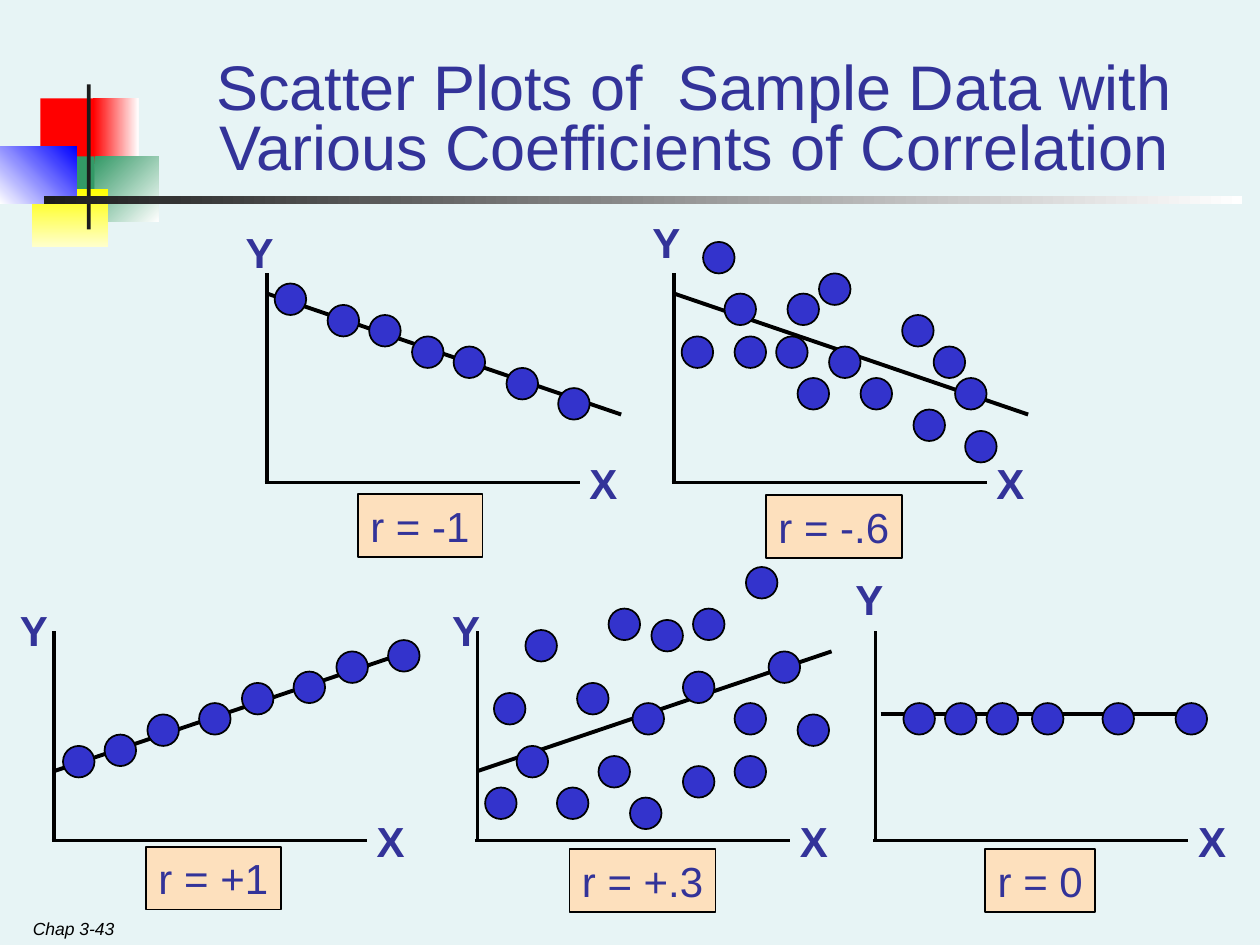
import pptx
import pptx.dml.color
import pptx.enum.shapes
import pptx.enum.text
import pptx.oxml
import pptx.oxml.ns
import pptx.util

Inches = pptx.util.Inches
SHAPES = pptx.enum.shapes.MSO_SHAPE
ANCHOR = pptx.enum.text.MSO_ANCHOR

TITLE = "Scatter Plots of  Sample Data with Various Coefficients of Correlation"
FOOTER = "Chap 3-43"
INK, DOT, LABEL_FILL, BLACK = "333399", "3333CC", "FDE0BD", "000000"
DOT_SIZE = 0.25
AXIS_HEIGHT, AXIS_WIDTH = 1.66, 2.5
LABEL_HEIGHT = 0.5

# left, top, width, height, colours (one solid, two gradient), clockwise angle
DECORATION = [
    (0.32, 0.78, 0.48, 0.52, ["FF0000"], 0),
    (0.74, 0.78, 0.36, 0.52, ["FF0000", "FFFFFF"], 0),
    (0.75, 1.24, 0.51, 0.52, ["339966", "FFFFFF"], 45),
    (0.43, 1.24, 0.32, 0.52, ["339966"], 0),
    (0.25, 1.5, 0.61, 0.46, ["FFFF00", "FFFFCC"], 90),
    (0, 1.16, 0.61, 0.46, ["FFFFFF", "0000FF"], 315),
    (0.69, 0.67, 0.03, 1.15, ["1C1C1C"], 0),
    (0.35, 1.56, 9.51, 0.06, ["1C1C1C", "FFFFFF"], 0),
]

# origin: where the axes meet; trend: x1, y1, x2, y2; y_label: left, top;
# label: text, left, top, width; dots: left, top
PLOTS = [
    dict(origin=(2.12, 3.83), trend=(2.12, 2.33, 4.93, 3.29), y_label=(1.85, 1.75),
         label=("r = -1", 2.84, 3.92, 0.99),
         dots=[(2.18, 2.25), (2.6, 2.42), (2.93, 2.5), (3.27, 2.67), (3.6, 2.75),
               (4.02, 2.92), (4.43, 3.08)]),
    dict(origin=(5.35, 3.83), trend=(5.35, 2.33, 8.16, 3.29), y_label=(5.08, 1.67),
         label=("r = -.6", 6.08, 3.93, 1.08),
         dots=[(5.41, 2.67), (5.58, 1.92), (5.75, 2.33), (5.83, 2.67), (6.16, 2.67),
               (6.25, 2.33), (6.33, 3), (6.5, 2.17), (6.58, 2.75), (6.83, 3),
               (7.16, 2.5), (7.25, 3.25), (7.41, 2.75), (7.58, 3), (7.66, 3.42)]),
    dict(origin=(0.43, 6.67), trend=(0.43, 6.12, 3.25, 5.17), y_label=(0.06, 4.75),
         label=("r = +1", 1.16, 6.72, 1.07),
         dots=[(0.5, 5.92), (0.83, 5.83), (1.17, 5.67), (1.58, 5.58), (1.92, 5.42),
               (2.33, 5.33), (2.67, 5.17), (3.08, 5.08)]),
    dict(origin=(3.79, 6.67), trend=(3.79, 6.12, 6.6, 5.17), y_label=(3.49, 4.75),
         label=("r = +.3", 4.52, 6.74, 1.16),
         dots=[(3.85, 6.25), (3.92, 5.5), (4.1, 5.92), (4.17, 5), (4.42, 6.25),
               (4.58, 5.42), (4.75, 6), (4.83, 4.83), (5, 6.33), (5.02, 5.58),
               (5.17, 4.92), (5.42, 5.33), (5.42, 6.08), (5.5, 4.83), (5.83, 5.58),
               (5.83, 6), (5.92, 4.5), (6.1, 5.17), (6.33, 5.67)]),
    dict(origin=(6.95, 6.67), trend=(6.99, 5.67, 9.49, 5.67), y_label=(6.69, 4.5),
         label=("r = 0", 7.82, 6.74, 0.87),
         dots=[(7.17, 5.58), (7.5, 5.58), (7.83, 5.58), (8.19, 5.58), (8.75, 5.58),
               (9.33, 5.58)]),
]


def rgb(value):
    return pptx.dml.color.RGBColor.from_string(value)


def set_text(shape, text, size, color=INK, margin=0.1, anchor=ANCHOR.TOP, wrap=False,
             align=pptx.enum.text.PP_ALIGN.LEFT, **font_format):
    frame = shape.text_frame
    frame.text = text
    frame_format = dict(
        word_wrap=wrap, vertical_anchor=anchor,
        auto_size=pptx.enum.text.MSO_AUTO_SIZE.NONE,
        margin_left=Inches(margin), margin_right=Inches(margin),
        margin_top=Inches(0.05), margin_bottom=Inches(0.05))
    for name, value in frame_format.items():
        setattr(frame, name, value)
    paragraph = frame.paragraphs[0]
    paragraph.alignment = align
    font = paragraph.runs[0].font
    font.color.rgb = rgb(color)
    for name, value in dict(name="Arial", size=pptx.util.Pt(size), **font_format).items():
        setattr(font, name, value)
    return paragraph


def add_shape(slide, kind, box, colors, angle=0, outlined=False):
    shape = slide.shapes.add_shape(kind, *map(Inches, box))
    shape.shadow.inherit = False
    if len(colors) == 1:
        shape.fill.solid()
        shape.fill.fore_color.rgb = rgb(colors[0])
    else:
        shape.fill.gradient()
        shape.fill.gradient_angle = (360 - angle) % 360
        for stop, color in zip(shape.fill.gradient_stops, colors):
            stop.color.rgb = rgb(color)
    if outlined:
        shape.line.color.rgb = rgb(BLACK)
        shape.line.width = pptx.util.Pt(1)
    else:
        shape.line.fill.background()
    return shape


def add_line(slide, ends, width=2):
    line = slide.shapes.add_connector(
        pptx.enum.shapes.MSO_CONNECTOR.STRAIGHT, *map(Inches, ends))
    line.line.color.rgb = rgb(BLACK)
    line.line.width = pptx.util.Pt(width)
    properties = line.element.find(pptx.oxml.ns.qn("p:spPr"))
    properties.append(pptx.oxml.parse_xml(
        f'<a:effectLst {pptx.oxml.ns.nsdecls("a")}/>'))


def add_text_box(slide, box, text, size, **text_format):
    shape = slide.shapes.add_textbox(*map(Inches, box))
    set_text(shape, text, size, **text_format)


def add_plot(slide, origin, trend, y_label, label, dots):
    x, y = origin
    add_line(slide, (x, y - AXIS_HEIGHT, x, y))
    add_line(slide, (x - 0.02, y, x - 0.02 + AXIS_WIDTH, y))
    add_line(slide, trend, 2.25)
    for left, top in dots:
        add_shape(slide, SHAPES.OVAL, (left, top, DOT_SIZE, DOT_SIZE), [DOT],
                  outlined=True)
    for name, corner in (("Y", y_label), ("X", (x + 2.46, y - 0.25))):
        add_text_box(slide, (*corner, 0.42, LABEL_HEIGHT), name, 24, bold=True)
    text, left, top, width = label
    box = add_shape(slide, SHAPES.RECTANGLE, (left, top, width, LABEL_HEIGHT),
                    [LABEL_FILL], outlined=True)
    set_text(box, text, 24)


def main():
    presentation = pptx.Presentation()
    presentation.slide_width, presentation.slide_height = Inches(10), Inches(7.5)
    slide = presentation.slides.add_slide(presentation.slide_layouts[5])
    slide.background.fill.solid()
    slide.background.fill.fore_color.rgb = rgb("E7F4F5")

    for *box, colors, angle in DECORATION:
        add_shape(slide, SHAPES.RECTANGLE, box, colors, angle)

    title = slide.shapes.title
    title.left, title.top, title.width, title.height = map(
        Inches, (1.25, 0.25, 8.52, 1.25))
    paragraph = set_text(title, TITLE, 36, margin=0.09, anchor=ANCHOR.BOTTOM, wrap=True,
                         align=pptx.enum.text.PP_ALIGN.CENTER)
    paragraph.line_spacing = 0.8

    add_text_box(slide, (0.17, 7.15, 5.08, 0.35), FOOTER, 10, color=BLACK, margin=0.09,
                 anchor=ANCHOR.BOTTOM, wrap=True, italic=True)
    for plot in PLOTS:
        add_plot(slide, **plot)
    presentation.save("out.pptx")


if __name__ == "__main__":
    main()
